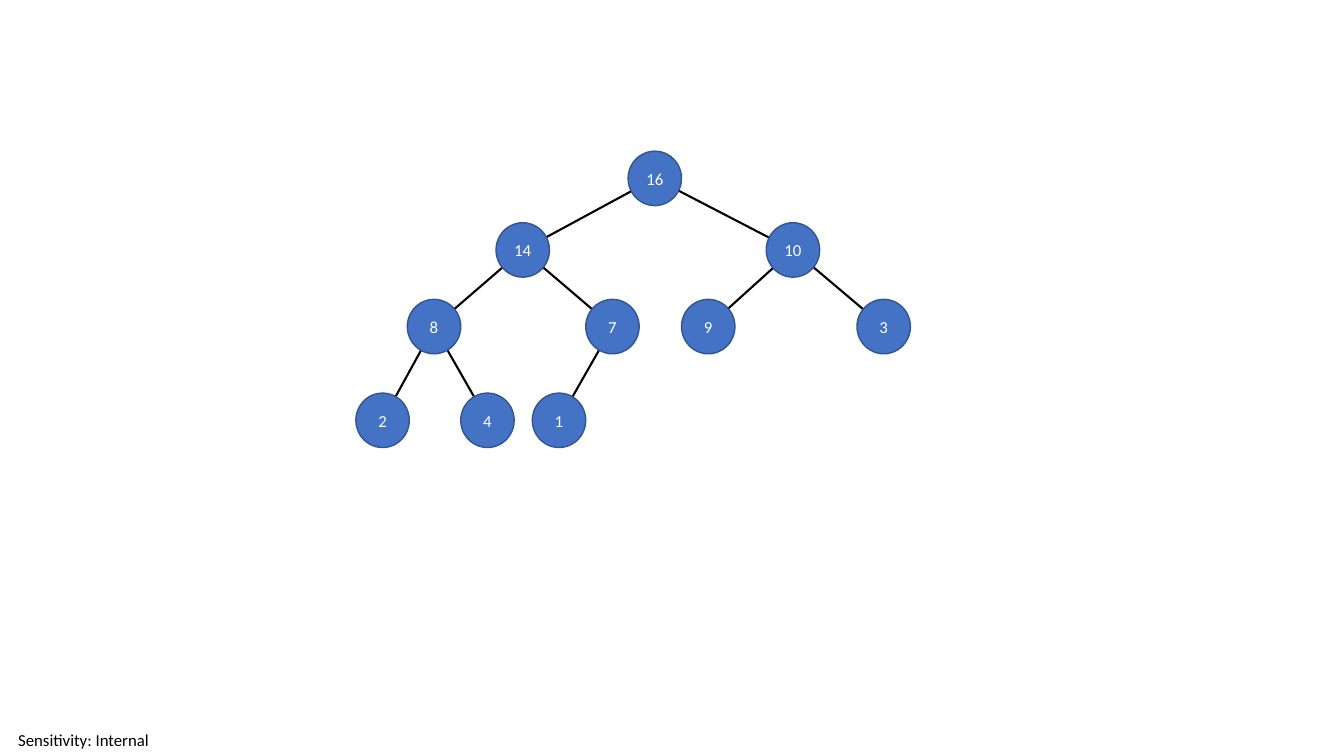
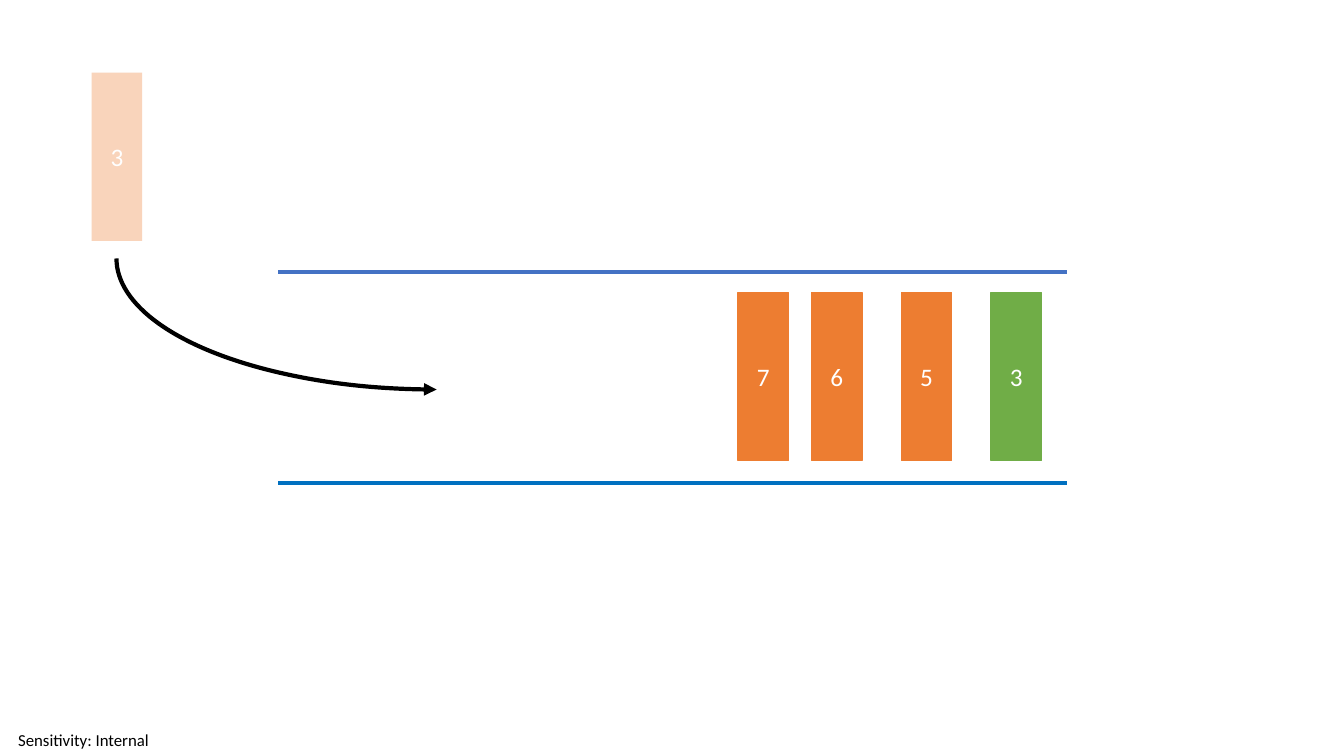
from math import hypot

from lxml.etree import SubElement
from pptx import Presentation
from pptx.dml.color import RGBColor
from pptx.enum.shapes import MSO_CONNECTOR as Connector, MSO_SHAPE as Shape
from pptx.enum.text import MSO_ANCHOR as Anchor, PP_ALIGN as Align
from pptx.oxml.ns import qn
from pptx.util import Inches, Pt

# Shared look
FONT = "Calibri"
BLACK, WHITE = "000000", "FFFFFF"
BLUE, NAVY, DEEP_BLUE = "4472C4", "325491", "0070C0"
ORANGE, GREEN = "ED7D31", "70AD47"
FOOTER = "Sensitivity: Internal"

# Heap in array order: the children of node i are 2i + 1 and 2i + 2
HEAP = [16, 14, 10, 8, 7, 9, 3, 2, 4, 1]
NODE_LEFTS = [6.23, 4.92, 7.6, 4.04, 5.81, 6.76, 8.5, 3.53, 4.57, 5.28]
LEVEL_TOPS = [1.5, 2.21, 2.97, 3.9]
NODE_W, NODE_H = 0.53, 0.54
EDGE_TRIM = 0.22

# Queue: value, left, colour
QUEUE = [("3", 9.83, GREEN), ("5", 8.94, ORANGE),
         ("6", 8.05, ORANGE), ("7", 7.32, ORANGE)]
ITEM_W, ITEM_H, QUEUE_TOP = 0.5, 1.67, 2.9
INCOMING = ("3", 0.91, 0.72)
LANE = (2.76, 2.7, 7.82, 2.09)
ARC = (3.03, -0.61, 2.6, 6.35)


def rgb(value):
    return RGBColor.from_string(value)


def inches(*lengths):
    return [Inches(length) for length in lengths]


def write(box, text, size, color, align):
    frame = box.text_frame
    frame.text = text
    frame.vertical_anchor = Anchor.MIDDLE
    para = frame.paragraphs[0]
    para.alignment = align
    font = para.runs[0].font
    font.name, font.size = FONT, Pt(size)
    font.color.rgb = rgb(color)


def add_page(deck):
    page = deck.slides.add_slide(deck.slide_layouts[6])
    box = page.shapes.add_textbox(*inches(0, 7.18, 1.66, 0.32))
    frame = box.text_frame
    frame.word_wrap = True
    frame.margin_top = frame.margin_right = frame.margin_bottom = 0
    frame.margin_left = Inches(0.18)
    write(box, FOOTER, 12, BLACK, Align.LEFT)
    return page


def add_block(page, kind, place, text, size, fill, line=None):
    block = page.shapes.add_shape(kind, *inches(*place))
    block.shadow.inherit = False
    block.fill.solid()
    block.fill.fore_color.rgb = rgb(fill)
    if line:
        block.line.color.rgb = rgb(line)
        block.line.width = Pt(1)
    else:
        block.line.fill.background()
    write(block, text, size, WHITE, Align.CENTER)
    return block


def add_edge(page, parent, child):
    (x1, y1), (x2, y2) = parent, child
    share = EDGE_TRIM / hypot(x2 - x1, y2 - y1)
    dx, dy = (x2 - x1) * share, (y2 - y1) * share
    edge = page.shapes.add_connector(
        Connector.STRAIGHT, *inches(x1 + dx, y1 + dy, x2 - dx, y2 - dy))
    edge.line.color.rgb = rgb(BLACK)
    edge.line.width = Pt(1.5)
    SubElement(edge._element.spPr, qn("a:effectLst"))


def add_heap(page):
    # The level of node i follows from the bit length of i + 1
    corners = [(left, LEVEL_TOPS[(i + 1).bit_length() - 1])
               for i, left in enumerate(NODE_LEFTS)]
    centers = [(x + NODE_W / 2, y + NODE_H / 2) for x, y in corners]
    for i in range(1, len(HEAP)):
        add_edge(page, centers[(i - 1) // 2], centers[i])
    for value, corner in zip(HEAP, corners):
        add_block(page, Shape.OVAL, (*corner, NODE_W, NODE_H),
                  str(value), 12, BLUE, NAVY)


def add_lane(page):
    table = page.shapes.add_table(1, 1, *inches(*LANE)).table
    table.first_row = table.horz_banding = False
    cell = table.cell(0, 0)
    # Borders come before the fill in the cell properties
    props = cell._tc.get_or_add_tcPr()
    for side, color in (("L", None), ("R", None), ("T", BLUE), ("B", DEEP_BLUE)):
        border = SubElement(props, qn(f"a:ln{side}"))
        if color:
            border.set("w", str(Pt(3)))
            fill = SubElement(border, qn("a:solidFill"))
            SubElement(fill, qn("a:srgbClr"), val=color)
        else:
            SubElement(border, qn("a:noFill"))
    cell.fill.background()


def add_arc_arrow(page):
    arc = page.shapes.add_shape(Shape.ARC, *inches(*ARC))
    arc.shadow.inherit = False
    arc.fill.background()
    arc.rotation = 90
    arc._element.spPr.xfrm.set("flipV", "1")
    arc.line.color.rgb = rgb(BLACK)
    arc.line.width = Pt(3)
    SubElement(arc.line._get_or_add_ln(), qn("a:tailEnd"), type="triangle")


def add_queue(page):
    add_lane(page)
    for value, left, color in QUEUE:
        add_block(page, Shape.RECTANGLE, (left, QUEUE_TOP, ITEM_W, ITEM_H),
                  value, 18, color, color)
    # Faded item that is about to enter the queue
    value, left, top = INCOMING
    item = add_block(page, Shape.RECTANGLE, (left, top, ITEM_W, ITEM_H),
                     value, 18, ORANGE)
    tint = item._element.spPr.find(qn("a:solidFill"))[0]
    SubElement(tint, qn("a:alpha"), val="33000")
    add_arc_arrow(page)


def main():
    deck = Presentation()
    deck.slide_width, deck.slide_height = inches(13.33, 7.5)
    for draw in (add_heap, add_queue):
        draw(add_page(deck))
    deck.save("out.pptx")


if __name__ == "__main__":
    main()
